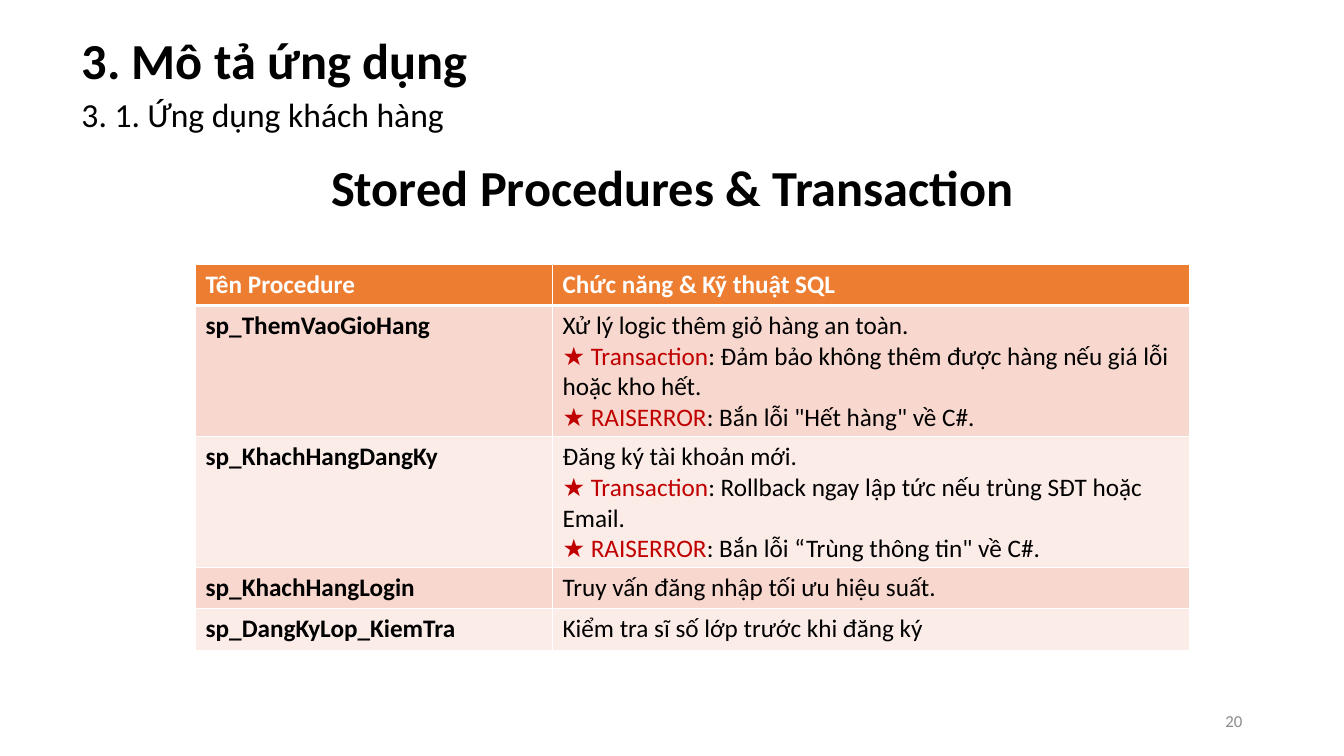
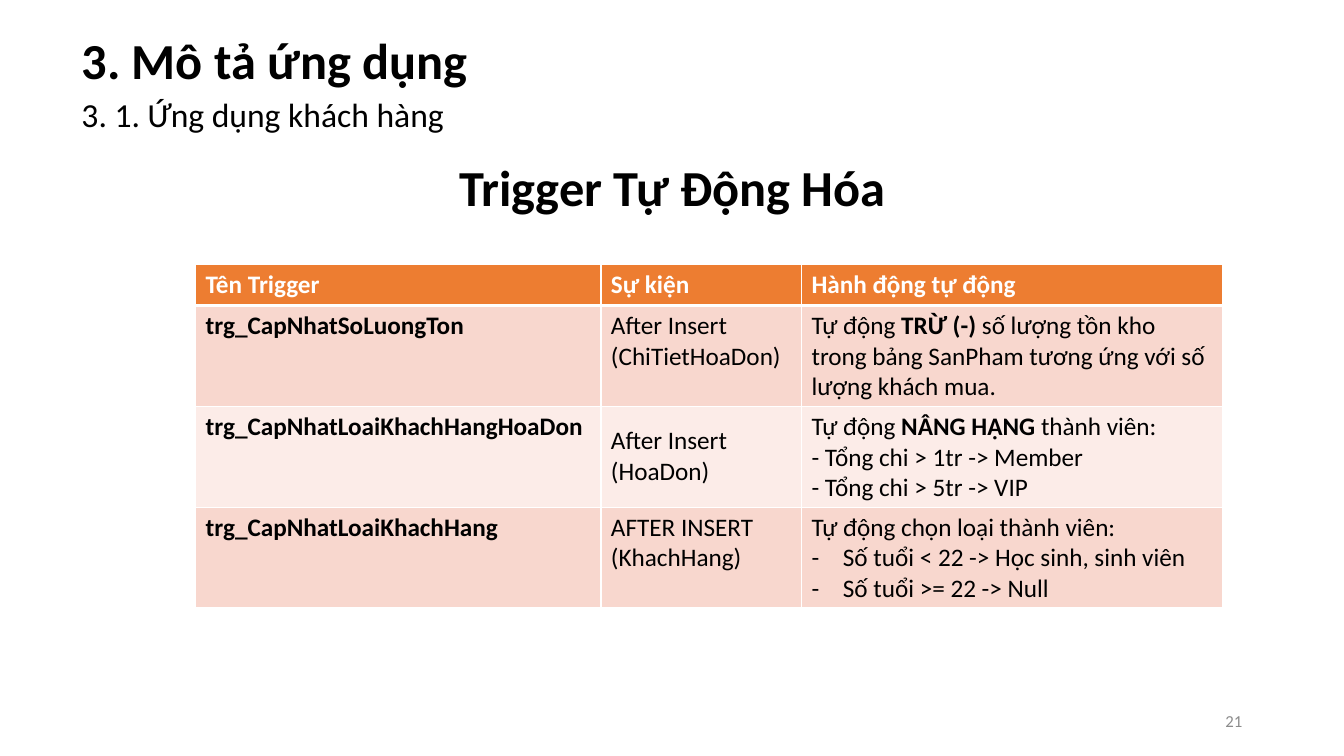
from dataclasses import dataclass

from lxml import etree
from pptx import Presentation
from pptx.dml import color as c
from pptx.enum import text as t
from pptx.oxml import ns
from pptx.util import Inches, Pt

FONT = "Calibri"
BLACK = "000000"
WHITE = "FFFFFF"
RED = "C00000"
GRAY = "8C8C8C"
HEADER_FILL = "ED7D31"
BAND_FILLS = ("F8D7CE", "FCECE8")
ROW_HEIGHT = 0.41


@dataclass(frozen=True)
class Run:
    text: str
    bold: bool = False
    color: str = ""


@dataclass(frozen=True)
class Line:
    runs: tuple[Run, ...]
    bullet: str = ""


@dataclass(frozen=True)
class Cell:
    lines: tuple[Line, ...]
    anchor: t.MSO_ANCHOR = t.MSO_ANCHOR.TOP


@dataclass(frozen=True)
class Page:
    number: int
    heading: str
    heading_height: float
    columns: tuple[float, ...]
    heights: tuple[float, ...]
    headers: tuple[str, ...]
    rows: tuple[tuple[Cell, ...], ...]


def line(*parts: str | Run, bullet: str = "") -> Line:
    return Line(tuple(Run(part) if isinstance(part, str) else part for part in parts), bullet)


def plain(text: str, anchor=t.MSO_ANCHOR.TOP) -> Cell:
    return Cell((line(text),), anchor)


def strong(text: str) -> Cell:
    return Cell((line(Run(text, bold=True)),))


def starred(word: str) -> Run:
    return Run(f"★ {word}", color=RED)


def rgb(value: str) -> c.RGBColor:
    return c.RGBColor.from_string(value)


def add_bullet(paragraph, character: str) -> None:
    properties = paragraph._p.get_or_add_pPr()
    properties.set("marL", str(Inches(0.31)))
    properties.set("indent", str(-Inches(0.31)))
    etree.SubElement(properties, ns.qn("a:buFont"), typeface=FONT)
    etree.SubElement(properties, ns.qn("a:buChar"), char=character)


def write_text(frame, lines: tuple[Line, ...], *, size: float, color: str = BLACK,
               bold: bool = False, align=t.PP_ALIGN.LEFT) -> None:
    frame.word_wrap = True
    for index, content in enumerate(lines):
        paragraph = frame.paragraphs[0] if index == 0 else frame.add_paragraph()
        paragraph.alignment = align
        if content.bullet:
            add_bullet(paragraph, content.bullet)
        for part in content.runs:
            for position, piece in enumerate(part.text.split("\n")):
                if position:
                    paragraph.add_line_break()
                if not piece:
                    continue
                run = paragraph.add_run()
                run.text = piece
                run.font.name = FONT
                run.font.size = Pt(size)
                run.font.bold = bold or part.bold
                run.font.color.rgb = rgb(part.color or color)


def add_label(slide, text: str, box: tuple[float, float, float, float], *,
              anchor=t.MSO_ANCHOR.TOP, grow: bool = True, **text_format) -> None:
    shape = slide.shapes.add_textbox(*map(Inches, box))
    frame = shape.text_frame
    frame.vertical_anchor = anchor
    write_text(frame, (line(text),), **text_format)
    frame.auto_size = t.MSO_AUTO_SIZE.SHAPE_TO_FIT_TEXT if grow else t.MSO_AUTO_SIZE.NONE


def set_borders(cell, row: int) -> None:
    properties = cell._tc.get_or_add_tcPr()
    widths = {"L": 1, "R": 1, "T": 3 if row == 1 else 1, "B": 3 if row == 0 else 1}
    for side, width in widths.items():
        border = etree.SubElement(properties, ns.qn(f"a:ln{side}"), w=str(Pt(width)))
        fill = etree.SubElement(border, ns.qn("a:solidFill"))
        etree.SubElement(fill, ns.qn("a:srgbClr"), val=WHITE)


def add_grid(slide, page: Page) -> None:
    header = tuple(plain(text) for text in page.headers)
    rows = (header, *page.rows)
    table = slide.shapes.add_table(
        len(rows), len(page.columns), Inches(1.94), Inches(2.62),
        Inches(sum(page.columns)), Inches(sum(page.heights))).table
    for column, width in zip(table.columns, page.columns):
        column.width = Inches(width)
    for row, height in zip(table.rows, page.heights):
        row.height = Inches(height)
    for row_index, contents in enumerate(rows):
        is_header = row_index == 0
        fill = HEADER_FILL if is_header else BAND_FILLS[(row_index - 1) % 2]
        for column_index, content in enumerate(contents):
            cell = table.cell(row_index, column_index)
            set_borders(cell, row_index)
            cell.fill.solid()
            cell.fill.fore_color.rgb = rgb(fill)
            cell.vertical_anchor = content.anchor
            write_text(cell.text_frame, content.lines, size=18, bold=is_header,
                       color=WHITE if is_header else BLACK)


def add_page(presentation, page: Page) -> None:
    slide = presentation.slides.add_slide(presentation.slide_layouts[6])
    add_label(slide, "3. Mô tả ứng dụng", (0.71, 0.24, 7.89, 0.71), size=36, bold=True)
    add_label(slide, "3. 1. Ứng dụng khách hàng", (0.71, 0.88, 7.89, 0.5), size=24)
    add_label(slide, page.heading, (3.11, 1.5, 7.12, page.heading_height),
              size=36, bold=True, align=t.PP_ALIGN.CENTER)
    add_grid(slide, page)
    add_label(slide, str(page.number), (9.42, 6.95, 3, 0.4), size=12, color=GRAY,
              align=t.PP_ALIGN.RIGHT, anchor=t.MSO_ANCHOR.MIDDLE, grow=False)


PAGES = (
    Page(
        20, "Stored Procedures & Transaction", 1.31, (3.54, 6.32),
        (ROW_HEIGHT, 1.3, 1.3, ROW_HEIGHT, ROW_HEIGHT),
        ("Tên Procedure", "Chức năng & Kỹ thuật SQL"),
        (
            (strong("sp_ThemVaoGioHang"), Cell((line(
                "Xử lý logic thêm giỏ hàng an toàn.\n", starred("Transaction"),
                ": Đảm bảo không thêm được hàng nếu giá lỗi hoặc kho hết.\n",
                starred("RAISERROR"), ": Bắn lỗi \"Hết hàng\" về C#."),))),
            (strong("sp_KhachHangDangKy"), Cell((
                line("Đăng ký tài khoản mới.\n", starred("Transaction"),
                     ": Rollback ngay lập tức nếu trùng SĐT hoặc Email."),
                line(starred("RAISERROR"), ": Bắn lỗi “Trùng thông tin\" về C#.")))),
            (strong("sp_KhachHangLogin"), plain("Truy vấn đăng nhập tối ưu hiệu suất.")),
            (strong("sp_DangKyLop_KiemTra"), plain("Kiểm tra sĩ số lớp trước khi đăng ký")),
        ),
    ),
    Page(
        21, "Trigger Tự Động Hóa", 0.71, (4.02, 1.99, 4.18), (ROW_HEIGHT, 1, 1, 1),
        ("Tên Trigger", "Sự kiện", "Hành động tự động"),
        (
            (strong("trg_CapNhatSoLuongTon"), plain("After Insert\n(ChiTietHoaDon)"),
             Cell((line("Tự động ", Run("TRỪ (-)", bold=True),
                        " số lượng tồn kho trong bảng SanPham tương ứng với số "
                        "lượng khách mua."),))),
            (strong("trg_CapNhatLoaiKhachHangHoaDon"),
             plain("After Insert\n(HoaDon)", t.MSO_ANCHOR.MIDDLE),
             Cell((line("Tự động ", Run("NÂNG HẠNG", bold=True),
                        " thành viên:\n- Tổng chi > 1tr -> Member\n"
                        "- Tổng chi > 5tr -> VIP"),))),
            (strong("trg_CapNhatLoaiKhachHang"), plain("AFTER INSERT (KhachHang)"),
             Cell((line("Tự động chọn loại thành viên:"),
                   line("Số tuổi < 22 -> Học sinh, sinh viên", bullet="-"),
                   line("Số tuổi >= 22 -> Null", bullet="-")))),
        ),
    ),
)


def main() -> None:
    presentation = Presentation()
    presentation.slide_width = Inches(13.33)
    presentation.slide_height = Inches(7.5)
    for page in PAGES:
        add_page(presentation, page)
    presentation.save("out.pptx")


if __name__ == "__main__":
    main()
